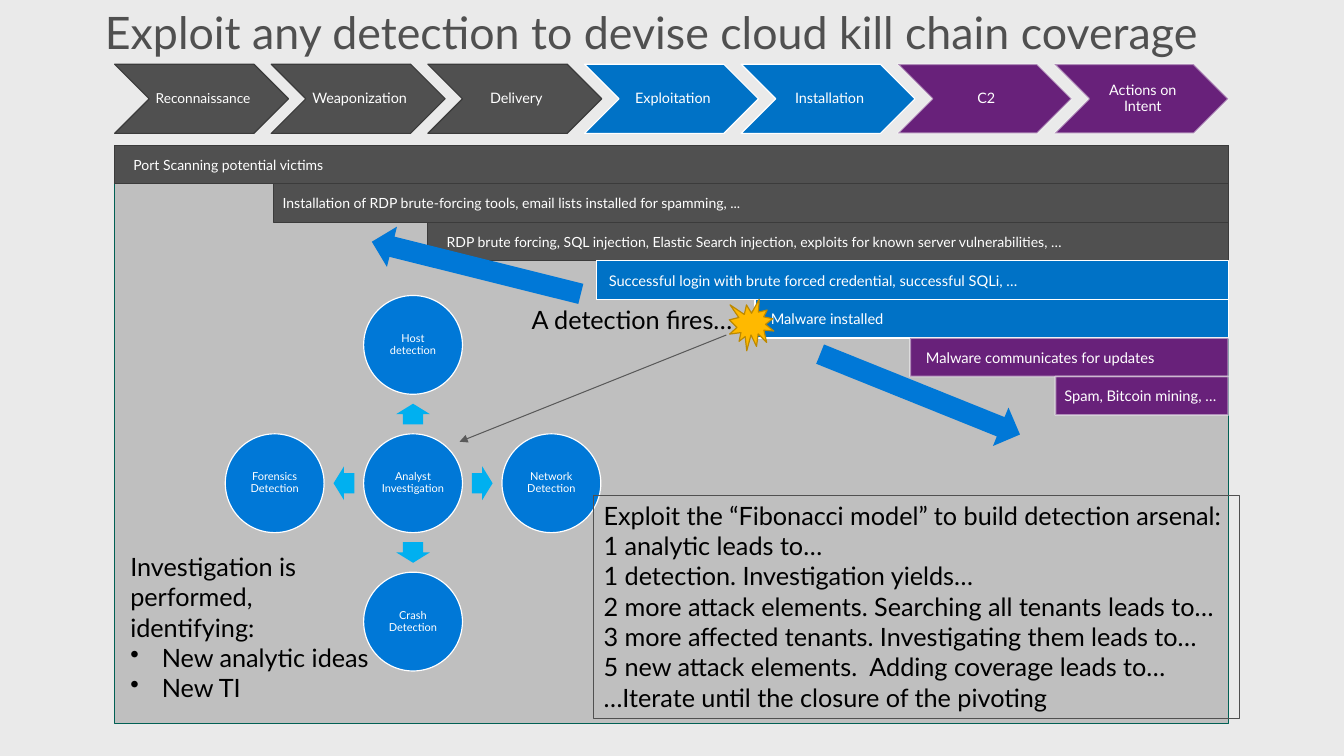
import pptx
import pptx.util
import pptx.dml.color
import pptx.enum.shapes
import pptx.enum.text
import lxml.etree
from dataclasses import dataclass

Inches = pptx.util.Inches
Pt = pptx.util.Pt
MSO = pptx.enum.shapes.MSO_SHAPE
ALIGN = pptx.enum.text.PP_ALIGN
ANCHOR = pptx.enum.text.MSO_ANCHOR


@dataclass(frozen=True)
class Theme:
    font: str = "Lato"
    background: str = "EAEAEA"
    panel: str = "BFBFBF"
    panel_line: str = "006054"
    grey: str = "505050"
    white: str = "FFFFFF"
    black: str = "000000"
    blue: str = "0078D7"
    cyan: str = "00B0F0"
    burst: str = "FFB900"
    burst_line: str = "BD8900"
    pointer: str = "595959"
    title_size: float = 32.6
    body_size: float = 18.4
    hub_size: float = 8
    line: float = 0.85
    thin: float = 0.75


T = Theme()
PHASES = {
    "before": dict(fill=T.grey, line="3B3B3B", width=T.line, bar_size=10.2),
    "during": dict(fill="0072C6", line=T.white, width=T.line, bar_size=10.7),
    "after": dict(fill="68217A", line="F9F9F9", width=1.35, bar_size=10.7, alpha=50),
}
TITLE = "Exploit any detection to devise cloud kill chain coverage"
STAGES = [
    ("Reconnaissance", "before", 10),
    ("Weaponization", "before", 10.5),
    ("Delivery", "before", 10.5),
    ("Exploitation", "during", 10.5),
    ("Installation", "during", 10.5),
    ("C2", "after", 10.5),
    ("Actions on Intent", "after", 10.5),
]
BARS = [
    (1.16, 0.19, "before", "Port Scanning potential victims"),
    (2.77, 0.09, "before", "Installation of RDP brute-forcing tools, email lists installed for spamming, ..."),
    (4.33, 0.19, "before", "RDP brute forcing, SQL injection, Elastic Search injection, "
                           "exploits for known server vulnerabilities, …"),
    (6.04, 0.12, "during", "Successful login with brute forced credential, successful SQLi, …"),
    (7.64, 0.16, "during", "Malware installed"),
    (9.21, 0.16, "after", "Malware communicates for updates"),
    (10.68, 0.09, "after", "Spam, Bitcoin mining, …"),
]
HUB = "Analyst Investigation"
SPOKES = [
    ("Host detection", 0, -1, 270),
    ("Network Detection", 1, 0, 0),
    ("Crash Detection", 0, 1, 90),
    ("Forensics Detection", -1, 0, 180),
]
FIBONACCI = [
    "Exploit the “Fibonacci model” to build detection arsenal:",
    "1 analytic leads to…",
    "1 detection. Investigation yields…",
    "2 more attack elements. Searching all tenants leads to…",
    "3 more affected tenants. Investigating them leads to…",
    "5 new attack elements.  Adding coverage leads to…",
    "…Iterate until the closure of the pivoting",
]
FIRES = "A detection fires…"
OUTCOME = "Investigation is performed, identifying:"
OUTCOME_ITEMS = ["New analytic ideas", "New TI"]
SWEEPS = [(9.1, 2.9, 291.9), (4.61, 1.62, 104)]

LEFT, RIGHT = 1.16, 12.43
STAGE_TOP, STAGE_W, STAGE_H = 0.65, 1.76, 0.7
PANEL_TOP, PANEL_H, BAR_H = 1.47, 5.85, 0.39
HUB_X, HUB_Y, CIRCLE, SPOKE = 4.18, 4.89, 1, 1.4
ARROW_W, ARROW_H = 0.21, 0.34

prs = pptx.Presentation()
prs.slide_width, prs.slide_height = Inches(13.6), Inches(7.65)
s = prs.slides.add_slide(prs.slide_layouts[6])


def rgb(color):
    return pptx.dml.color.RGBColor.from_string(color)


def add_xml(parent, tag, **attrs):
    el = lxml.etree.SubElement(parent, pptx.oxml.ns.qn(tag))
    for key, value in attrs.items():
        el.set(key, value)
    return el


def shape(kind, x, y, w, h, fill=None, line=None, width=T.line, alpha=None, rotation=0):
    sp = s.shapes.add_shape(kind, Inches(x), Inches(y), Inches(w), Inches(h))
    sp.shadow.inherit = False
    sp.rotation = rotation
    if fill:
        sp.fill.solid()
        sp.fill.fore_color.rgb = rgb(fill)
    else:
        sp.fill.background()
    if line:
        sp.line.color.rgb = rgb(line)
        sp.line.width = Pt(width)
        if alpha:
            clr = sp.line._get_or_add_ln().find(".//" + pptx.oxml.ns.qn("a:srgbClr"))
            add_xml(clr, "a:alpha", val=str(alpha * 1000))
    else:
        sp.line.fill.background()
    return sp


def phase_shape(kind, x, y, w, h, phase):
    look = PHASES[phase]
    return shape(kind, x, y, w, h, look["fill"], look["line"], look["width"], look.get("alpha"))


def write(sp, lines, size, color, align=ALIGN.LEFT, anchor=ANCHOR.TOP,
          insets=(0.1, 0.05, 0.1, 0.05), spacing=None, bullets=(), wrap=True):
    tf = sp.text_frame
    tf.word_wrap = wrap
    tf.vertical_anchor = anchor
    tf.margin_left, tf.margin_top, tf.margin_right, tf.margin_bottom = map(Inches, insets)
    for i, line in enumerate([*lines, *bullets]):
        p = tf.paragraphs[0] if i == 0 else tf.add_paragraph()
        p.add_run().text = line
        p.alignment = align
        if spacing:
            p.line_spacing = spacing
        if i >= len(lines):
            pPr = p._p.get_or_add_pPr()
            pPr.set("marL", str(Inches(0.32)))
            pPr.set("indent", str(Inches(-0.32)))
            add_xml(pPr, "a:buChar", char="•")
        p.font.name = T.font
        p.font.size = Pt(size)
        p.font.color.rgb = rgb(color)


def text(x, y, w, h, lines, size=T.body_size, color=T.black, **options):
    sp = s.shapes.add_textbox(Inches(x), Inches(y), Inches(w), Inches(h))
    write(sp, lines, size, color, **options)


def circle(label, x, y):
    sp = shape(MSO.OVAL, x - CIRCLE / 2, y - CIRCLE / 2, CIRCLE, CIRCLE, T.blue, T.white)
    write(sp, [label], T.hub_size, T.white, ALIGN.CENTER, ANCHOR.MIDDLE, (0.01,) * 4, 0.9)


s.background.fill.solid()
s.background.fill.fore_color.rgb = rgb(T.background)
shape(MSO.RECTANGLE, LEFT, PANEL_TOP, RIGHT - LEFT, PANEL_H, T.panel, T.panel_line)

pitch = (RIGHT - LEFT - STAGE_W) / (len(STAGES) - 1)
for i, (label, phase, size) in enumerate(STAGES):
    sp = phase_shape(MSO.CHEVRON, LEFT + i * pitch, STAGE_TOP, STAGE_W, STAGE_H, phase)
    write(sp, [label], size, T.white, ALIGN.CENTER, ANCHOR.MIDDLE, (0.05, 0.02, 0.02, 0.02), 0.9)

for i, (x, inset, phase, label) in enumerate(BARS):
    sp = phase_shape(MSO.RECTANGLE, x, PANEL_TOP + i * BAR_H, RIGHT - x, BAR_H, phase)
    write(sp, [label], PHASES[phase]["bar_size"], T.white, anchor=ANCHOR.MIDDLE,
          insets=(inset, 0.02, 0.02, 0.02))

text(0.85, 0, 11.49, 0.65, [TITLE], T.title_size, T.grey, align=ALIGN.CENTER, wrap=False)

circle(HUB, HUB_X, HUB_Y)
for label, dx, dy, angle in SPOKES:
    sp = shape(MSO.RIGHT_ARROW, HUB_X + dx * SPOKE / 2 - ARROW_W / 2,
               HUB_Y + dy * SPOKE / 2 - ARROW_H / 2, ARROW_W, ARROW_H, T.cyan, rotation=angle)
    sp.adjustments[0] = 0.6
    circle(label, HUB_X + dx * SPOKE, HUB_Y + dy * SPOKE)

shape(MSO.EXPLOSION1, 7.38, 3.03, 0.45, 0.52, T.burst, T.burst_line)
pointer = s.shapes.add_connector(pptx.enum.shapes.MSO_CONNECTOR.STRAIGHT,
                                 Inches(7.35), Inches(3.39), Inches(4.65), Inches(4.47))
pointer.line.color.rgb = rgb(T.pointer)
pointer.line.width = Pt(T.thin)
add_xml(pointer.line._get_or_add_ln(), "a:tailEnd", type="triangle")
add_xml(pointer._element.spPr, "a:effectLst")

model = shape(MSO.RECTANGLE, 6.01, 5.01, 6.53, 2.26, line=T.grey, width=T.thin)
write(model, FIBONACCI, T.body_size, T.black)
text(5.28, 3.03, 2.29, 0.42, [FIRES])
text(1.22, 5.53, 2.66, 1.65, [OUTCOME], bullets=OUTCOME_ITEMS)

for x, y, angle in SWEEPS:
    shape(MSO.DOWN_ARROW, x, y, 0.42, 2.18, T.blue, rotation=angle)

prs.save("out.pptx")
